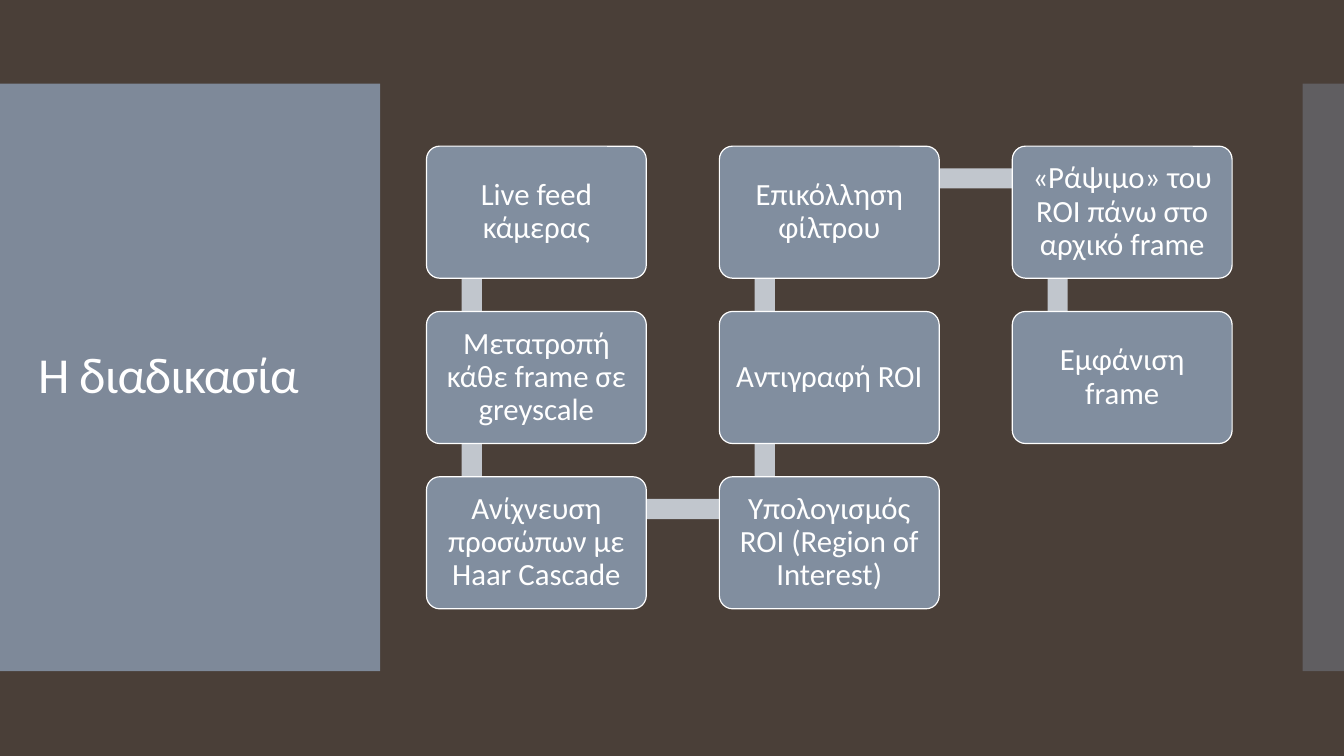
from lxml import etree
from pptx import Presentation
from pptx.dml.color import RGBColor
from pptx.enum.shapes import MSO_SHAPE
from pptx.enum.text import MSO_ANCHOR, PP_ALIGN
from pptx.oxml.ns import qn
from pptx.util import Pt

PX = 9144  # 100 px to the inch
RECT = MSO_SHAPE.RECTANGLE
ROUND_RECT = MSO_SHAPE.ROUNDED_RECTANGLE
MIDDLE = MSO_ANCHOR.MIDDLE
LEFT, CENTER = PP_ALIGN.LEFT, PP_ALIGN.CENTER

BROWN, SLATE, SILVER, WHITE = "4A3F38", "818E9F", "C1C6CD", "FFFFFF"
FONT = "Calibri"
SLIDE_W, SLIDE_H = 1333, 750

BOX_W, BOX_H = 218, 131
PITCH_X, PITCH_Y = 290.5, 164
BAR = 20

# Column, row and wording of each step, in reading order
STEPS = [
    (0, 0, "Live feed κάμερας"),
    (0, 1, "Μετατροπή κάθε frame σε greyscale"),
    (0, 2, "Ανίχνευση προσώπων με Haar Cascade"),
    (1, 2, "Υπολογισμός ROI (Region of Interest)"),
    (1, 1, "Αντιγραφή ROI"),
    (1, 0, "Επικόλληση φίλτρου"),
    (2, 0, "«Ράψιμο» του ROI πάνω στο αρχικό frame"),
    (2, 1, "Εμφάνιση frame"),
]


def px(*lengths):
    return [round(n * PX) for n in lengths]


def color(hex_string):
    return RGBColor.from_string(hex_string)


def add_block(s, kind, box, fill, opacity=100):
    sp = s.shapes.add_shape(kind, *px(*box))
    sp.shadow.inherit = False
    sp.fill.solid()
    sp.fill.fore_color.rgb = color(fill)
    sp.line.fill.background()
    if opacity < 100:
        srgb = sp.fill._xPr.find(".//" + qn("a:srgbClr"))
        etree.SubElement(srgb, qn("a:alpha"), val=str(opacity * 1000))
    return sp


def write(sp, text, size, align, inset):
    tf = sp.text_frame
    tf.word_wrap = True
    tf.vertical_anchor = MIDDLE
    tf.margin_left = tf.margin_right = tf.margin_top = tf.margin_bottom = inset * PX
    p = tf.paragraphs[0]
    p.text = text
    p.alignment = align
    p.line_spacing = 0.9
    r = p.runs[0]
    r.font.name = FONT
    r.font.size = Pt(size)
    r.font.color.rgb = color(WHITE)
    return r


def title_panel(s, x, y, w, h):
    add_block(s, RECT, (x, y, w, h), SLATE, 95)
    sp = s.shapes.add_textbox(*px(x + 28, y + 40, w - 55, h - 80))
    r = write(sp, "Η διαδικασία", 36, LEFT, 10)
    r.font._element.set("spc", "-60")


def process_snake(s, x, y):
    """Draw the bars between neighbouring steps, then the steps over them."""
    cells = [(x + col * PITCH_X, y + row * PITCH_Y) for col, row, _ in STEPS]
    for (ax, ay), (bx, by) in zip(cells, cells[1:]):
        if ax == bx:
            bar = (ax + 35, min(ay, by) + 32, BAR, PITCH_Y)
        else:
            bar = (ax + 45, ay + 22, PITCH_X, BAR)
        add_block(s, RECT, bar, SILVER)
    for (left, top), (_, _, text) in zip(cells, STEPS):
        sp = add_block(s, ROUND_RECT, (left, top, BOX_W, BOX_H), SLATE)
        sp.adjustments[0] = 0.1
        sp.line.color.rgb = color(WHITE)
        sp.line.width = Pt(0.85)
        write(sp, text, 22, CENTER, 9)


def main():
    prs = Presentation()
    prs.slide_width, prs.slide_height = px(SLIDE_W, SLIDE_H)
    s = prs.slides.add_slide(prs.slide_layouts[6])
    s.background.fill.solid()
    s.background.fill.fore_color.rgb = color(BROWN)
    title_panel(s, 0, 83, 377, 583)
    add_block(s, RECT, (SLIDE_W - 41, 83, 41, 583), SLATE, 40)
    process_snake(s, 423, 145)
    prs.save("out.pptx")


if __name__ == "__main__":
    main()
